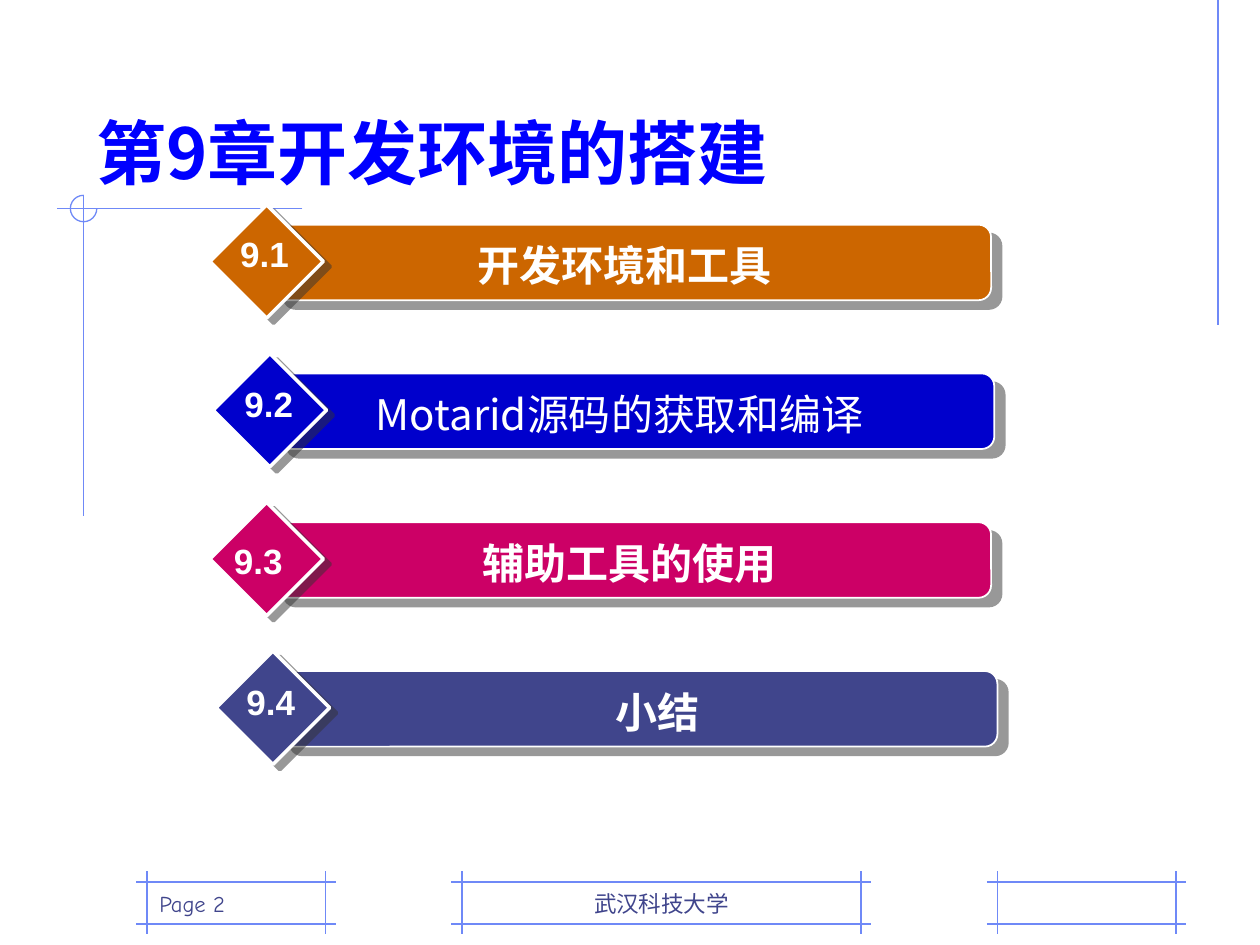
import pptx
import pptx.dml.color
import pptx.enum.shapes
import pptx.enum.text
import pptx.oxml.ns
import pptx.util
from lxml import etree

RGBColor = pptx.dml.color.RGBColor
Shape = pptx.enum.shapes.MSO_SHAPE
Align = pptx.enum.text.PP_ALIGN
Anchor = pptx.enum.text.MSO_ANCHOR
Pt = pptx.util.Pt
qn = pptx.oxml.ns.qn

WHITE = RGBColor(0xFF, 0xFF, 0xFF)
GUIDE = RGBColor(0x6F, 0x89, 0xF7)
INDIGO = RGBColor(0x40, 0x45, 0x8C)
TITLE_BLUE = RGBColor(0x00, 0x00, 0xFF)
ORANGE = RGBColor(0xCC, 0x66, 0x00)
NAVY = RGBColor(0x00, 0x00, 0xCC)
MAGENTA = RGBColor(0xCC, 0x00, 0x66)
SHADOW = RGBColor(0x33, 0x33, 0x33)

HAN_FONT = "Noto Sans CJK JP"
FOOTER_FONT = "Comic Neue"
NUMBER_FONT = "Arial"

WIDTH = pptx.util.Inches(10)
HEIGHT = pptx.util.Inches(7.5)
CELL = WIDTH / 120
FIRST_BAR_ROW = 21.4
BAR_PITCH = 14.17
FOOTER_ROW = 84
FOOTER_ROWS = 4

SECTIONS = [
    ("9.1", " 开发环境和工具", True, ORANGE, 26, 32, 54, (1.7, 0.2)),
    ("9.2", "Motarid源码的获取和编译", False, NAVY, 26.3, 32, 54, (1.8, 0.3)),
    ("9.3", "辅助工具的使用", True, MAGENTA, 26, 33, 54, (1.1, 1.1)),
    ("9.4", "小结", True, INDIGO, 26.6, 33.2, 58.8, (1.7, 0.3)),
]
FOOTERS = [
    (44, 38, "武汉科技大学", Align.CENTER),
    (95, 17, "", Align.LEFT),
    (14, 17, "Page 2", Align.LEFT),
]


def grid(*cells):
    return [round(cell * CELL) for cell in cells]


def add_guide(slide, *ends):
    guide = slide.shapes.add_connector(
        pptx.enum.shapes.MSO_CONNECTOR.STRAIGHT, *grid(*ends))
    guide.line.color.rgb = GUIDE
    guide.line.width = Pt(0.75)
    etree.SubElement(guide._element.spPr, qn("a:effectLst"))


def add_block(slide, kind, area, fill, outline=0):
    block = slide.shapes.add_shape(kind, *grid(*area))
    block.shadow.inherit = False
    block.fill.solid()
    block.fill.fore_color.rgb = fill
    if outline:
        block.line.color.rgb = WHITE
        block.line.width = Pt(outline)
    else:
        block.line.fill.background()
    return block


def cast_shadow(block, distance, angle):
    effects = block._element.spPr.find(qn("a:effectLst"))
    cast = etree.SubElement(
        effects, qn("a:outerShdw"), blurRad="0", dist=str(Pt(distance)),
        dir=str(angle * 60000), algn="ctr", rotWithShape="0")
    tone = etree.SubElement(cast, qn("a:srgbClr"), val=str(SHADOW))
    etree.SubElement(tone, qn("a:alpha"), val="50000")


def write(holder, words, size, face, color, bold=False,
          align=Align.LEFT, anchor=Anchor.TOP, spacing=1.0, wrap=True):
    frame = holder.text_frame
    frame.word_wrap = wrap
    frame.vertical_anchor = anchor
    paragraph = frame.paragraphs[0]
    paragraph.alignment = align
    paragraph.line_spacing = spacing
    run = paragraph.add_run()
    run.text = words
    run.font.size = Pt(size)
    run.font.name = face
    run.font.bold = bold
    run.font.color.rgb = color
    etree.SubElement(run._r.get_or_add_rPr(), qn("a:ea"), typeface=face)


def add_label(slide, area, words, size, face, color, **style):
    label = slide.shapes.add_textbox(*grid(*area))
    write(label, words, size, face, color, **style)


def add_footer(slide, column, columns, words, align):
    right, bottom = column + columns, FOOTER_ROW + FOOTER_ROWS
    for row in (FOOTER_ROW, bottom):
        add_guide(slide, column - 1, row, right + 1, row)
    for edge in (column, right):
        add_guide(slide, edge, FOOTER_ROW - 1, edge, bottom + 1)
    if words:
        add_label(slide, (column, FOOTER_ROW, columns, FOOTER_ROWS), words, 12.9,
                  FOOTER_FONT, INDIGO, align=align, anchor=Anchor.BOTTOM, spacing=0.9)


def add_title_guides(slide):
    add_guide(slide, 116, 0, 116, 31)
    add_guide(slide, 28.8, 19.88, 5.4, 19.88)
    add_guide(slide, 7.95, 18.6, 7.95, 49.1)
    arc = slide.shapes.add_shape(Shape.ARC, *grid(6.7, 18.6, 2.52, 2.52))
    arc.adjustments[0] = 0
    arc.adjustments[1] = 162
    arc.shadow.inherit = False
    arc.fill.background()
    arc.line.color.rgb = GUIDE
    arc.line.width = Pt(0.75)


def add_section(slide, index, number, heading, bold, color,
                column, heading_column, heading_columns, offset):
    row = FIRST_BAR_ROW + index * BAR_PITCH
    bar = add_block(slide, Shape.ROUNDED_RECTANGLE, (column, row, 68.4, 7.2), color, 1)
    cast_shadow(bar, 7.8, 40)
    diamond = add_block(slide, Shape.DIAMOND, (column - 6, row - 1.9, 10.8, 10.8), color, 2)
    cast_shadow(diamond, 5, 37)
    panel = add_block(slide, Shape.RECTANGLE,
                      (heading_column, row + 0.85, heading_columns, 6), color)
    write(panel, heading, 24, HAN_FONT, WHITE, bold=bold, align=Align.CENTER)
    add_label(slide, (column - 6 + offset[0], row + offset[1], 7, 5.3), number, 20,
              NUMBER_FONT, WHITE, bold=True, align=Align.CENTER, wrap=False)


def main():
    deck = pptx.Presentation()
    deck.slide_width, deck.slide_height = WIDTH, HEIGHT
    slide = deck.slides.add_slide(deck.slide_layouts[6])
    for footer in FOOTERS:
        add_footer(slide, *footer)
    add_title_guides(slide)
    add_label(slide, (8, 4, 102, 15), "第9章开发环境的搭建", 40, HAN_FONT, TITLE_BLUE,
              bold=True, anchor=Anchor.BOTTOM)
    for index, section in enumerate(SECTIONS):
        add_section(slide, index, *section)
    deck.save("out.pptx")


if __name__ == "__main__":
    main()
